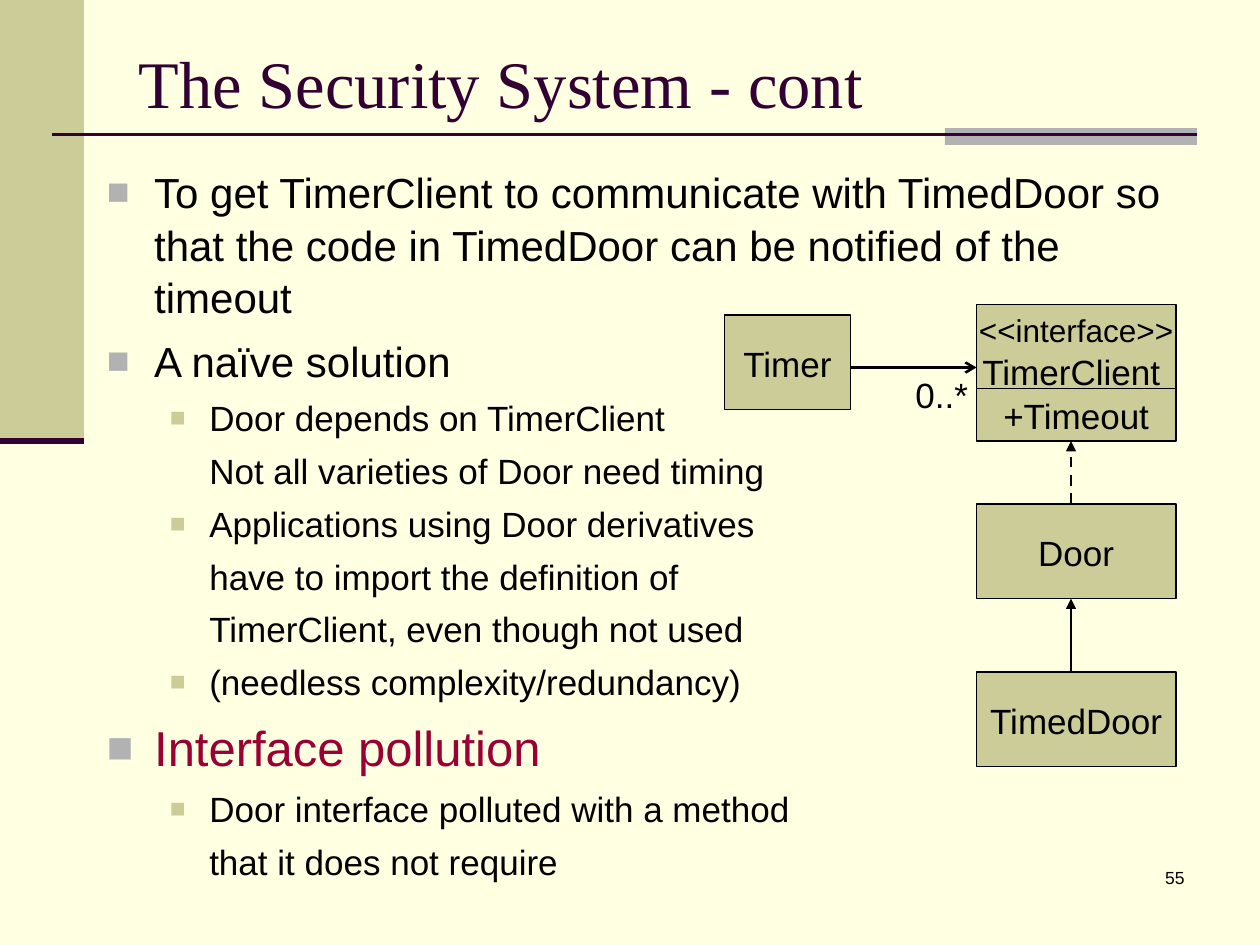
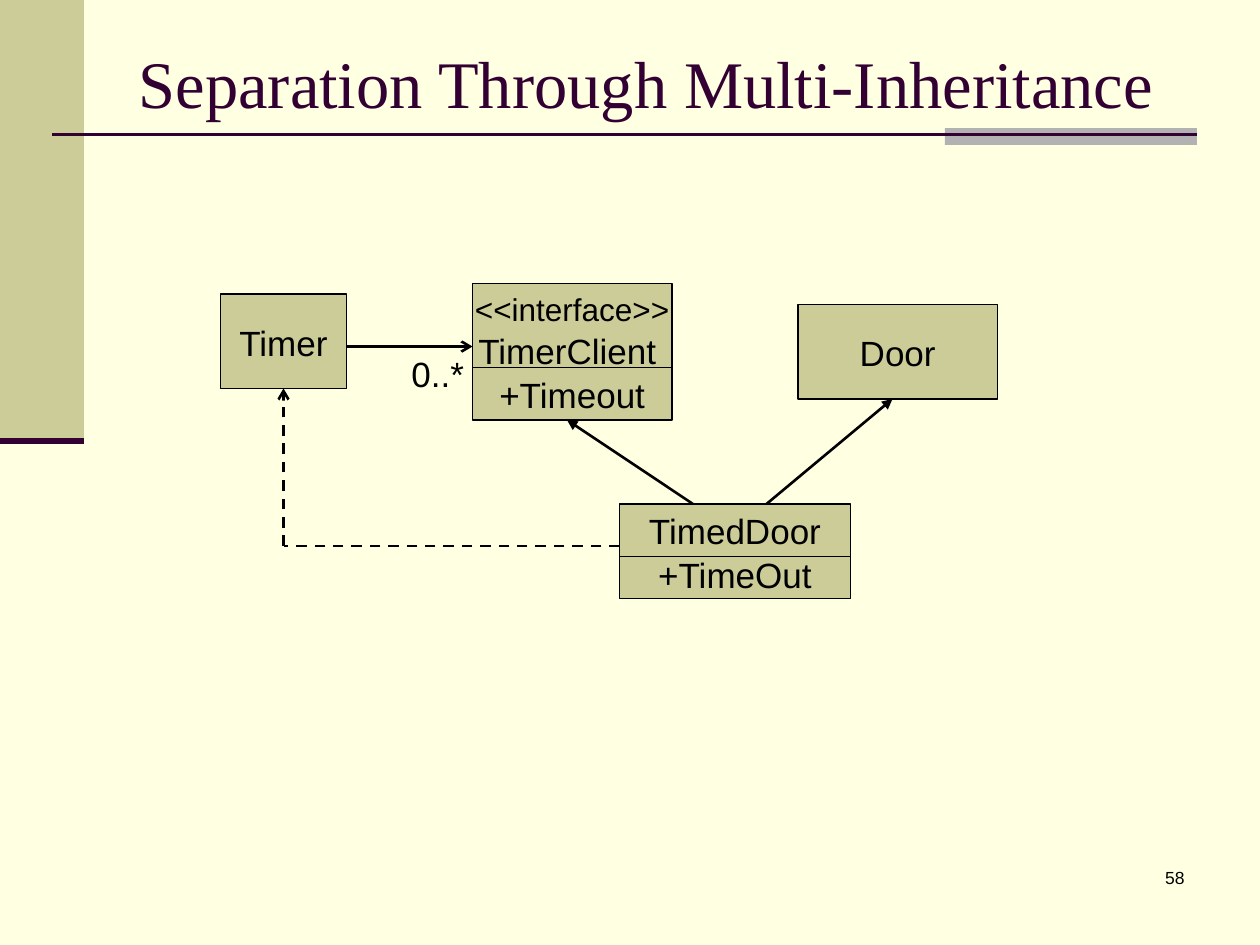
from lxml.etree import SubElement
from pptx import Presentation
from pptx.dml.color import RGBColor
from pptx.enum.dml import MSO_LINE
from pptx.enum.shapes import MSO_CONNECTOR, MSO_SHAPE
from pptx.enum.text import MSO_ANCHOR, MSO_AUTO_SIZE, PP_ALIGN
from pptx.oxml.ns import qn
from pptx.util import Pt

HEX = {"page": "FFFFE1", "olive": "CCCC99", "grey": "B2B2B2",
       "plum": "330033", "ink": "000000", "red": "990033"}
SANS, SERIF = "Arial", "Times New Roman"
LEADING = 1.05

# Body text: kind of line, text
POINTS = [
    ("main", "To get TimerClient to communicate with TimedDoor so that the "
             "code in TimedDoor can be notified of the timeout"),
    ("main", "A naïve solution"),
    ("sub", "Door depends on TimerClient"),
    ("more", "Not all varieties of Door need timing"),
    ("sub", "Applications using Door derivatives"),
    ("more", "have to import the definition of"),
    ("more", "TimerClient, even though not used"),
    ("sub", "(needless complexity/redundancy)"),
    ("key", "Interface pollution"),
    ("sub", "Door interface polluted with a method"),
    ("more", "that it does not require"),
]
# Kind: size, colour, space before, left margin, hang, bullet colour, bullet %
KINDS = {
    "main": (24, "ink", 6, 27, 27, "grey", 90),
    "key": (28, "red", 7, 27, 27, "grey", 90),
    "sub": (20, "ink", 5, 58.5, 22.5, "olive", 75),
    "more": (20, "ink", 5, 58.5, 0, None, 0),
}

# Class boxes: left, top, width, height, lines, divider below top
CLIENT = ["<<interface>>", "TimerClient ", "+Timeout"]
SYSTEM = {
    "timer": (414, 180, 72, 54, ["Timer"], None),
    "timed": (558, 384, 114, 54, ["TimedDoor"], None),
    "door": (558, 288, 114, 54, ["Door"], None),
    "client": (558, 174, 114, 78, CLIENT, 48),
}
SPLIT = {
    "timer": (126, 168, 72, 54, ["Timer"], None),
    "timed": (354, 288, 132, 54, ["TimedDoor", "+TimeOut"], 30),
    "door": (456, 174, 114, 54, ["Door"], None),
    "client": (270, 162, 114, 78, CLIENT, 48),
}


def rgb(name):
    return RGBColor.from_string(HEX[name])


def write(para, text, size, color="ink", font=SANS):
    run = para.add_run()
    run.text = text
    run.font.size, run.font.name = Pt(size), font
    run.font.color.rgb = rgb(color)


def rect(slide, left, top, width, height, fill):
    shape = slide.shapes.add_shape(
        MSO_SHAPE.RECTANGLE, Pt(left), Pt(top), Pt(width), Pt(height))
    shape.shadow.inherit = False
    shape.fill.solid()
    shape.fill.fore_color.rgb = rgb(fill)
    shape.line.fill.background()
    return shape


def link(slide, start, end, width=1.5, color="ink", head=None, dash=False):
    line = slide.shapes.add_connector(
        MSO_CONNECTOR.STRAIGHT, *(Pt(n) for n in (*start, *end)))
    line.line.width = Pt(width)
    line.line.color.rgb = rgb(color)
    if dash:
        line.line.dash_style = MSO_LINE.DASH
    props = line._element.spPr
    if head:
        SubElement(props.find(qn("a:ln")), qn("a:tailEnd"), type=head)
    SubElement(props, qn("a:effectLst"))


def label(slide, left, top, width, height):
    box = slide.shapes.add_textbox(Pt(left), Pt(top), Pt(width), Pt(height))
    box.text_frame.word_wrap = True
    return box.text_frame


def start(deck, title, page):
    """Slide with side band, title rule, title and page number."""
    slide = deck.slides.add_slide(deck.slide_layouts[5])
    rect(slide, 0, 0, 48, 252, "olive")
    rect(slide, 540, 73.2, 144, 9.6, "grey")
    link(slide, (30, 77), (684, 77), 1.5, "plum")
    link(slide, (0, 252), (48, 252), 3.5, "plum")

    head = slide.shapes.title
    head.left, head.top, head.width, head.height = Pt(72), Pt(21.6), Pt(612), Pt(50.4)
    frame = head.text_frame
    frame.auto_size = MSO_AUTO_SIZE.NONE
    frame.vertical_anchor = MSO_ANCHOR.MIDDLE
    frame.paragraphs[0].alignment = PP_ALIGN.LEFT
    write(frame.paragraphs[0], title, 38, "plum", SERIF)

    para = label(slide, 534, 492, 150, 36).paragraphs[0]
    para.alignment = PP_ALIGN.RIGHT
    write(para, page, 10)
    return slide


def body(slide):
    frame = label(slide, 54, 90, 630, 414)
    for i, (kind, text) in enumerate(POINTS):
        size, color, gap, margin, hang, mark, scale = KINDS[kind]
        para = frame.add_paragraph() if i else frame.paragraphs[0]
        props = para._p.get_or_add_pPr()
        props.set("marL", str(Pt(margin)))
        props.set("indent", str(-Pt(hang)))
        if mark:
            tint = SubElement(props, qn("a:buClr"))
            SubElement(tint, qn("a:srgbClr"), val=HEX[mark])
            SubElement(props, qn("a:buSzPct"), val=str(scale * 1000))
            SubElement(props, qn("a:buFont"), typeface=SANS)
            SubElement(props, qn("a:buChar"), char="■")
        else:
            SubElement(props, qn("a:buNone"))
        para.line_spacing = LEADING
        para.space_before = Pt(gap if i else 0)
        write(para, text, size, color)


def classes(slide, boxes):
    """Class boxes, and the link from Timer to its clients."""
    for left, top, width, height, lines, split in boxes.values():
        box = rect(slide, left, top, width, height, "olive")
        box.line.color.rgb = rgb("ink")
        box.line.width = Pt(0.75)
        frame = box.text_frame
        frame.word_wrap = False
        frame.vertical_anchor = MSO_ANCHOR.MIDDLE
        for i, text in enumerate(lines):
            para = frame.add_paragraph() if i else frame.paragraphs[0]
            para.alignment = PP_ALIGN.CENTER
            para.line_spacing = LEADING
            write(para, text, 18 if text.startswith("<<") else 20)
        if split:
            link(slide, (left, top + split), (left + width, top + split), 0.75)
    x, y = boxes["client"][:2]
    y += 36
    link(slide, (x - 72, y), (x, y), head="arrow")
    para = label(slide, x - 42, y - 1.2, 48, 32).paragraphs[0]
    para.line_spacing = LEADING
    write(para, "0..*", 20)


def main():
    deck = Presentation()
    deck.slide_width, deck.slide_height = Pt(720), Pt(540)
    back = deck.slide_master.background.fill
    back.solid()
    back.fore_color.rgb = rgb("page")

    # Security system
    slide = start(deck, "The Security System - cont", "55")
    body(slide)
    classes(slide, SYSTEM)
    for low, high, dash in (("door", "client", True), ("timed", "door", False)):
        x, top, _, height = SYSTEM[high][:4]
        link(slide, (x + 54, SYSTEM[low][1]), (x + 54, top + height),
             head="triangle", dash=dash)

    # Multiple inheritance
    slide = start(deck, "Separation Through Multi-Inheritance", "58")
    classes(slide, SPLIT)
    left, top = SPLIT["timed"][:2]
    for name, shift in (("client", 42), ("door", 84)):
        x, y, _, height = SPLIT[name][:4]
        link(slide, (left + shift, top), (x + 54, y + height), head="triangle")
    x, y, width, height = SPLIT["timer"][:4]
    bend = (x + width / 2, top + 24)
    link(slide, (left, bend[1]), bend, dash=True)
    link(slide, bend, (bend[0], y + height), head="arrow", dash=True)

    deck.save("out.pptx")


if __name__ == "__main__":
    main()
